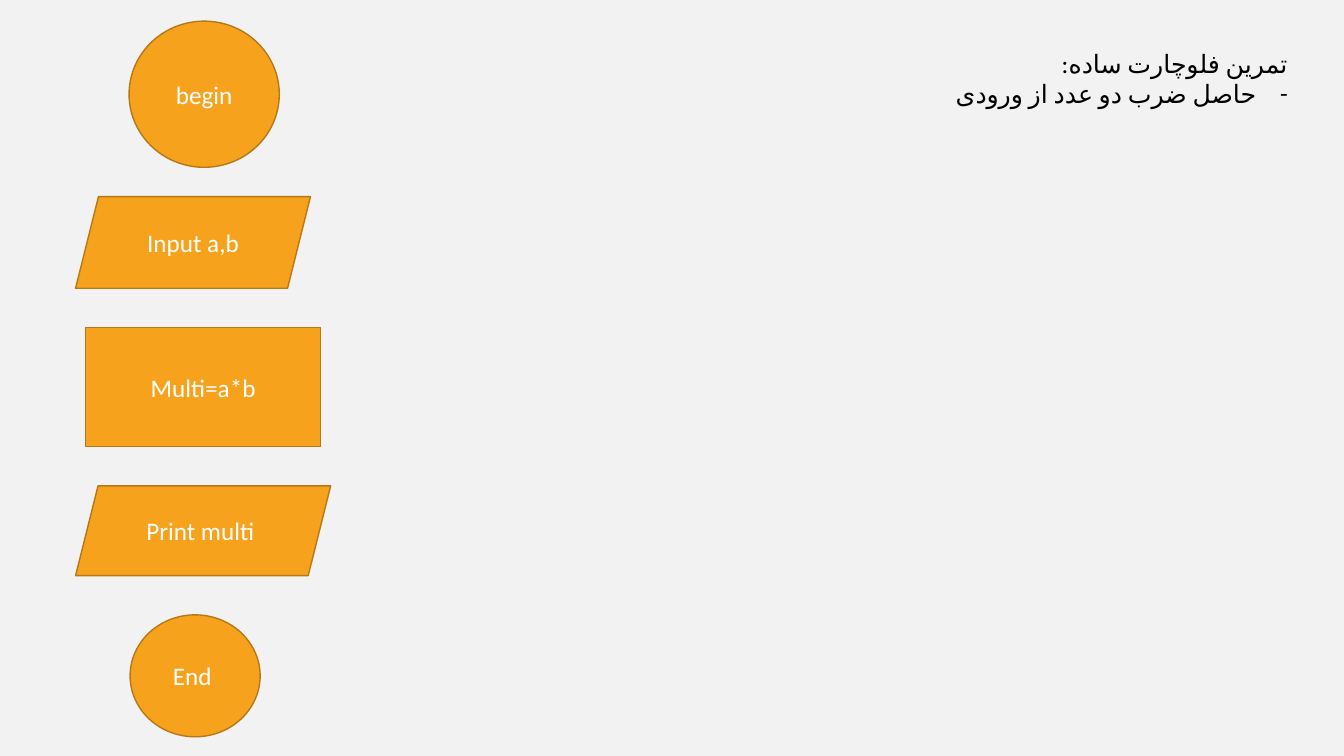
from lxml import etree
from pptx import Presentation
from pptx.dml.color import RGBColor
from pptx.enum import shapes, text
from pptx.oxml import ns
from pptx.util import Inches, Pt

PALE = RGBColor(0xF2, 0xF2, 0xF2)
GOLD = RGBColor(0xF6, 0xA2, 0x1D)
BROWN = RGBColor(0xB6, 0x78, 0x15)
WHITE = RGBColor(0xFF, 0xFF, 0xFF)
BLACK = RGBColor(0, 0, 0)

FONT = "Calibri"
KIND = shapes.MSO_SHAPE
STEPS = [
    (KIND.OVAL, "begin", (1.28, 0.21, 1.49, 1.45)),
    (KIND.PARALLELOGRAM, "Input a,b", (0.75, 1.95, 2.33, 0.91)),
    (KIND.RECTANGLE, "Multi=a*b", (0.85, 3.25, 2.33, 1.18)),
    (KIND.PARALLELOGRAM, "Print multi ", (0.75, 4.82, 2.53, 0.89)),
    (KIND.OVAL, "End ", (1.29, 6.1, 1.29, 1.21)),
]


def write(para, words, color=BLACK, size=18, font=FONT,
          align=text.PP_ALIGN.CENTER):
    """Put formatted words into a paragraph and return the run."""
    para.alignment = align
    run = para.add_run()
    run.text = words
    run.font.name = font
    run.font.size = Pt(size)
    run.font.color.rgb = color
    return run


def add_tag(node, tag, **attrs):
    """Append a DrawingML element with its attributes."""
    etree.SubElement(node, ns.qn(tag), attrs)


def write_rtl(para, words, mark=None):
    """Write Persian words right to left, with an optional bullet mark."""
    run = write(para, words, align=text.PP_ALIGN.RIGHT)
    face = run._r.get_or_add_rPr()
    face.set("lang", "fa-IR")
    add_tag(face, "a:cs", typeface=FONT)
    props = para._p.get_or_add_pPr()
    props.set("rtl", "1")
    if mark:
        props.set("marL", str(Inches(0.31)))
        props.set("indent", str(Inches(-0.31)))
        add_tag(props, "a:buFont", typeface=FONT)
        add_tag(props, "a:buChar", char=mark)


def add_step(slide, kind, words, place):
    """Add one step of the flowchart."""
    step = slide.shapes.add_shape(kind, *map(Inches, place))
    step.shadow.inherit = False
    step.fill.solid()
    step.fill.fore_color.rgb = GOLD
    step.line.color.rgb = BROWN
    step.line.width = Pt(1)
    frame = step.text_frame
    frame.vertical_anchor = text.MSO_ANCHOR.MIDDLE
    write(frame.paragraphs[0], words, color=WHITE)


def add_task(slide):
    """Add the Persian task text at the top right."""
    box = slide.shapes.add_textbox(*map(Inches, (0.42, 0.43, 12.45, 1.01)))
    frame = box.text_frame
    frame.word_wrap = True
    write_rtl(frame.paragraphs[0], "تمرین فلوچارت ساده:")
    write_rtl(frame.add_paragraph(), "حاصل ضرب دو عدد از ورودی ", mark="-")


def main():
    """Build and save the slide."""
    deck = Presentation()
    deck.slide_width, deck.slide_height = Inches(13.33), Inches(7.5)
    slide = deck.slides.add_slide(deck.slide_layouts[6])
    slide.background.fill.solid()
    slide.background.fill.fore_color.rgb = PALE
    add_task(slide)
    for kind, words, place in STEPS:
        add_step(slide, kind, words, place)
    deck.save("out.pptx")


main()
